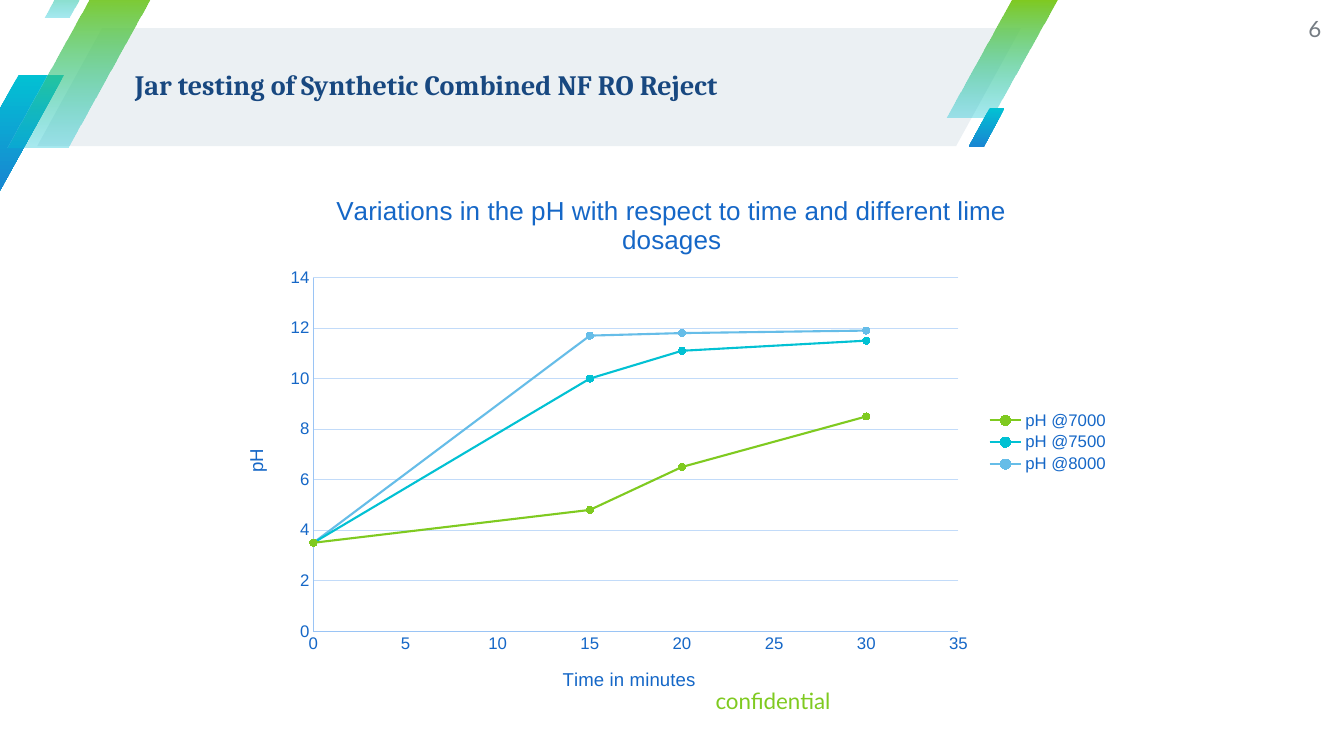
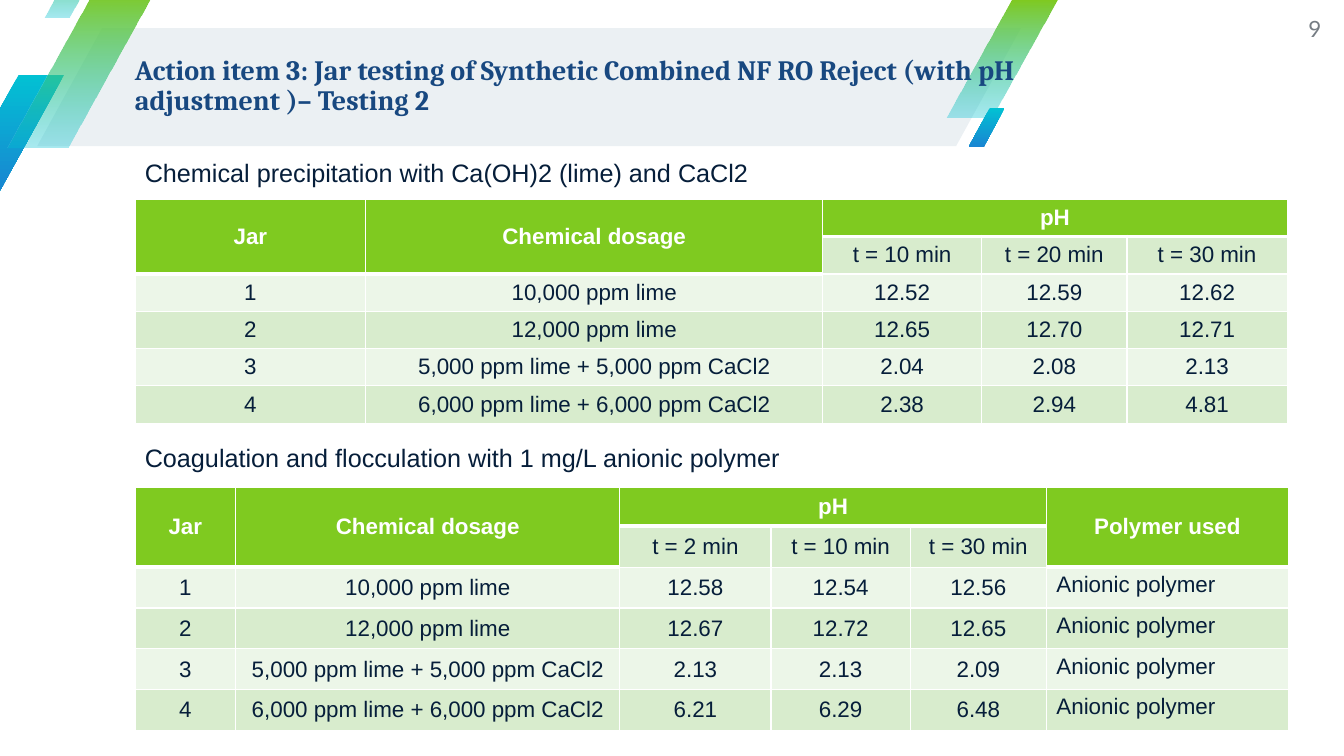
from dataclasses import dataclass

from lxml import etree
from pptx import Presentation, util as u
from pptx.chart import data as cd
from pptx.dml.color import RGBColor
from pptx.enum import chart as ch, shapes, text
from pptx.oxml import ns


@dataclass(frozen=True)
class Theme:
    """Colours, fonts and type sizes."""
    green: str = "7FCA20"
    cyan: str = "02C1D3"
    sky: str = "66BDE8"
    blue: str = "1985D2"
    band: str = "EBF0F3"
    title: str = "184880"
    ink: str = "061E3A"
    grey: str = "757C83"
    white: str = "FFFFFF"
    chart_text: str = "1567C7"
    axis: str = "9AC4F5"
    grid: str = "C2DBF9"
    row_light: str = "ECF6E8"
    row_dark: str = "D8ECCD"
    body_font: str = "Arial"
    title_font: str = "Cambria"
    footer_font: str = "Lato"
    title_size: float = 20
    label_size: float = 18
    cell_size: float = 16
    footer_size: float = 16
    chart_title_size: float = 18.6
    axis_title_size: float = 13.3
    tick_size: float = 12


T = Theme()
LEFT, CENTER, RIGHT = (text.PP_ALIGN.LEFT, text.PP_ALIGN.CENTER,
                       text.PP_ALIGN.RIGHT)
MIDDLE, TOP = text.MSO_ANCHOR.MIDDLE, text.MSO_ANCHOR.TOP


def rgb(color):
    return RGBColor.from_string(color)


def style_font(font, size, color, name=T.body_font, bold=False):
    font.size, font.name, font.bold = u.Pt(size), name, bold
    font.color.rgb = rgb(color)


def style_line(line, color, width):
    line.color.rgb = rgb(color)
    line.width = u.Pt(width)


def box(x, y, w, h):
    return [u.Cm(v) for v in (x, y, w, h)]


class Deck:
    def __init__(self):
        self.prs = Presentation()
        self.prs.slide_width, self.prs.slide_height = u.Cm(33.87), u.Cm(19.05)
        self.s = None

    # Slide frame: slanted bands, title, page number
    def slide(self, title, number):
        self.s = self.prs.slides.add_slide(self.prs.slide_layouts[6])
        fade, deep = (T.green, T.cyan, 34), (T.cyan, T.blue, 100)
        self.slant(0.94, 0.71, 24.79, 2.97, T.band, adj=0.55)
        self.slant(-1.17, 1.88, 2.79, 2.97, deep)
        self.slant(23.85, 0, 2.79, 2.97, fade)
        self.slant(0.2, -0.25, 3.71, 3.96, fade)
        self.slant(1.12, -1.22, 1.55, 1.65, fade)
        self.slant(24.41, 2.72, 0.91, 0.99, deep)
        p = self.text(3.4, 0.66, 22.33, 3.02, title, T.title_size, T.title,
                      T.title_font, bold=True)
        p.line_spacing = 0.9
        self.text(31.7, 0, 1.6, 1.45, str(number), T.footer_size, T.grey,
                  T.footer_font, align=RIGHT)

    def slant(self, x, y, w, h, fill, adj=0.59):
        sp = self.s.shapes.add_shape(shapes.MSO_SHAPE.PARALLELOGRAM,
                                     *box(x, y, w, h))
        sp.adjustments[0] = adj
        sp.shadow.inherit = False
        sp.line.fill.background()
        if isinstance(fill, str):
            sp.fill.solid()
            sp.fill.fore_color.rgb = rgb(fill)
            return
        top, bottom, opacity = fill
        sp.fill.gradient()
        sp.fill.gradient_angle = 270
        for stop, color, pos in zip(sp.fill.gradient_stops, (top, bottom), (0, 1)):
            stop.color.rgb = rgb(color)
            stop.position = pos
        if opacity < 100:
            last = sp.element.findall(".//" + ns.qn("a:srgbClr"))[-1]
            etree.SubElement(last, ns.qn("a:alpha"), val=str(opacity * 1000))

    def text(self, x, y, w, h, words, size, color, font=T.body_font,
             bold=False, align=LEFT, anchor=MIDDLE, inset=0):
        tf = self.s.shapes.add_textbox(*box(x, y, w, h)).text_frame
        tf.word_wrap, tf.vertical_anchor = True, anchor
        tf.margin_left = tf.margin_right = u.Cm(inset)
        tf.margin_top = tf.margin_bottom = u.Cm(inset / 2)
        p = tf.paragraphs[0]
        p.text, p.alignment = words, align
        style_font(p.runs[0].font, size, color, font, bold)
        return p

    def footer(self, words):
        self.text(11.86, 16.94, 9.07, 1.45, words, T.footer_size, T.green,
                  T.footer_font, align=RIGHT)

    def label(self, y, words):
        self.text(3.4, y, 17, 1.02, words, T.label_size, T.ink,
                  anchor=TOP, inset=0.25)

    # Scatter chart with straight lines
    def scatter(self, x, y, w, h, title, x_axis, y_axis, xs, series):
        data = cd.XyChartData()
        for name, values, _ in series:
            points = data.add_series(name)
            for point in zip(xs, values):
                points.add_data_point(*point)
        chart = self.s.shapes.add_chart(ch.XL_CHART_TYPE.XY_SCATTER_LINES,
                                        *box(x, y, w, h), data).chart
        style_font(chart.font, T.tick_size, T.chart_text)
        self.chart_title(chart.chart_title, title, T.chart_title_size)
        chart.chart_title.include_in_layout = False
        chart.has_legend = True
        chart.legend.position = ch.XL_LEGEND_POSITION.RIGHT
        chart.legend.include_in_layout = False
        style_font(chart.legend.font, T.tick_size, T.chart_text)
        for axis, (name, top, step) in ((chart.category_axis, x_axis),
                                        (chart.value_axis, y_axis)):
            self.axis(axis, name, top, step)
        chart.category_axis.has_major_gridlines = False
        style_line(chart.value_axis.major_gridlines.format.line, T.grid, 0.75)
        body = chart.value_axis.axis_title.text_frame._txBody.bodyPr
        body.set("rot", "-5400000")
        body.set("vert", "horz")
        plot = chart.plots[0]
        plot.vary_by_categories = False
        for line, (_, _, color) in zip(plot.series, series):
            line.smooth = False
            style_line(line.format.line, color, 1.5)
            line.marker.style, line.marker.size = ch.XL_MARKER_STYLE.CIRCLE, 5
            line.marker.format.fill.solid()
            line.marker.format.fill.fore_color.rgb = rgb(color)
            style_line(line.marker.format.line, color, 0.75)
        self.plot_area(chart, x=0.1, y=0.195, w=0.72, h=0.655)

    def chart_title(self, holder, words, size):
        p = holder.text_frame.paragraphs[0]
        p.text = words
        style_font(p.runs[0].font, size, T.chart_text)

    def axis(self, axis, name, top, step):
        axis.minimum_scale, axis.maximum_scale, axis.major_unit = 0, top, step
        axis.has_major_gridlines = True
        axis.major_tick_mark = axis.minor_tick_mark = ch.XL_TICK_MARK.NONE
        style_font(axis.tick_labels.font, T.tick_size, T.chart_text)
        style_line(axis.format.line, T.axis, 0.75)
        self.chart_title(axis.axis_title, name, T.axis_title_size)

    def plot_area(self, chart, **place):
        area = chart._chartSpace.find(".//" + ns.qn("c:plotArea"))
        layout = area.find(ns.qn("c:layout"))
        if layout is None:
            layout = etree.Element(ns.qn("c:layout"))
            area.insert(0, layout)
        manual = etree.SubElement(layout, ns.qn("c:manualLayout"))
        settings = {"layoutTarget": "inner", "xMode": "edge", "yMode": "edge"}
        for tag, val in {**settings, **place}.items():
            etree.SubElement(manual, ns.qn("c:" + tag), val=str(val))

    # Table: two header rows, the pH heading spans the reading times
    def table(self, y, widths, head_height, row_height, times, rows, extra=()):
        blank = [""] * len(extra)
        grid = [["Jar", "Chemical dosage", "pH", "", "", *extra],
                ["", "", *times, *blank], *rows]
        heights = [head_height] + [row_height] * (len(grid) - 1)
        frame = self.s.shapes.add_table(
            len(grid), len(widths), *box(3.4, y, sum(widths), sum(heights)))
        tbl = frame.table
        tbl.first_row = tbl.horz_banding = False
        for col, width in zip(tbl.columns, widths):
            col.width = u.Cm(width)
        for row, height in zip(tbl.rows, heights):
            row.height = u.Cm(height)
        for i, row in enumerate(grid):
            for j, words in enumerate(row):
                head = i == 0 or (i == 1 and not words)
                self.cell(tbl.cell(i, j), words, head, i % 2,
                          plain=i > 1 and j > 4)
        tbl.cell(0, 2).merge(tbl.cell(0, 4))
        for j, words in enumerate(grid[1]):
            if not words:
                tbl.cell(0, j).merge(tbl.cell(1, j))

    def cell(self, cell, words, head, odd, plain):
        pr = cell._tc.get_or_add_tcPr()
        for side in "LRTB":
            width = u.Pt(3 if head and side == "B" else 1)
            ln = etree.SubElement(pr, ns.qn("a:ln" + side), w=str(width))
            fill = etree.SubElement(ln, ns.qn("a:solidFill"))
            etree.SubElement(fill, ns.qn("a:srgbClr"), val=T.white)
        cell.fill.solid()
        shade = T.row_dark if odd else T.row_light
        cell.fill.fore_color.rgb = rgb(T.green if head else shade)
        cell.vertical_anchor = TOP if plain else MIDDLE
        p = cell.text_frame.paragraphs[0]
        p.text, p.alignment = words, LEFT if plain else CENTER
        color = T.white if head else T.ink
        for font in [p.font, *(r.font for r in p.runs)]:
            style_font(font, T.cell_size, color, bold=head)


DOSAGES = ["10,000 ppm lime", "12,000 ppm lime",
           "5,000 ppm lime + 5,000 ppm CaCl2",
           "6,000 ppm lime + 6,000 ppm CaCl2"]


def jar_rows(readings, *extra):
    return [[str(jar), dosage, *values.split(), *extra] for jar, (dosage, values)
            in enumerate(zip(DOSAGES, readings), 1)]


def main():
    deck = Deck()

    # pH chart
    deck.slide("Jar testing of Synthetic Combined NF RO Reject", 6)
    deck.footer("confidential")
    deck.scatter(
        5.64, 4.34, 22.58, 13.61,
        "Variations in the pH with respect to time and different lime dosages",
        ("Time in minutes", 35, 5), ("pH", 14, 2), [0, 15, 20, 30],
        [("pH @7000", [3.5, 4.8, 6.5, 8.5], T.green),
         ("pH @7500", [3.5, 10, 11.1, 11.5], T.cyan),
         ("pH @8000", [3.5, 11.7, 11.8, 11.9], T.sky)])

    # Jar test tables
    deck.slide("Action item 3: Jar testing of Synthetic Combined NF RO Reject "
               "(with pH adjustment )– Testing 2", 9)
    deck.label(3.84, "Chemical precipitation with Ca(OH)2 (lime) and CaCl2")
    deck.table(5.03, [5.82, 11.51, 4.01, 3.66, 4.04], 0.91, 0.94,
               ["t = 10 min", "t = 20 min", "t = 30 min"],
               jar_rows(["12.52 12.59 12.62", "12.65 12.70 12.71",
                         "2.04 2.08 2.13", "2.38 2.94 4.81"]))
    deck.label(11.02, "Coagulation and flocculation with 1 mg/L anionic polymer")
    deck.table(12.27, [2.54, 9.68, 3.81, 3.51, 3.43, 6.1], 0.99, 1.03,
               ["t = 2 min", "t = 10 min", "t = 30 min"],
               jar_rows(["12.58 12.54 12.56", "12.67 12.72 12.65",
                         "2.13 2.13 2.09", "6.21 6.29 6.48"],
                        "Anionic polymer"),
               extra=["Polymer used"])

    deck.prs.save("out.pptx")


if __name__ == "__main__":
    main()
